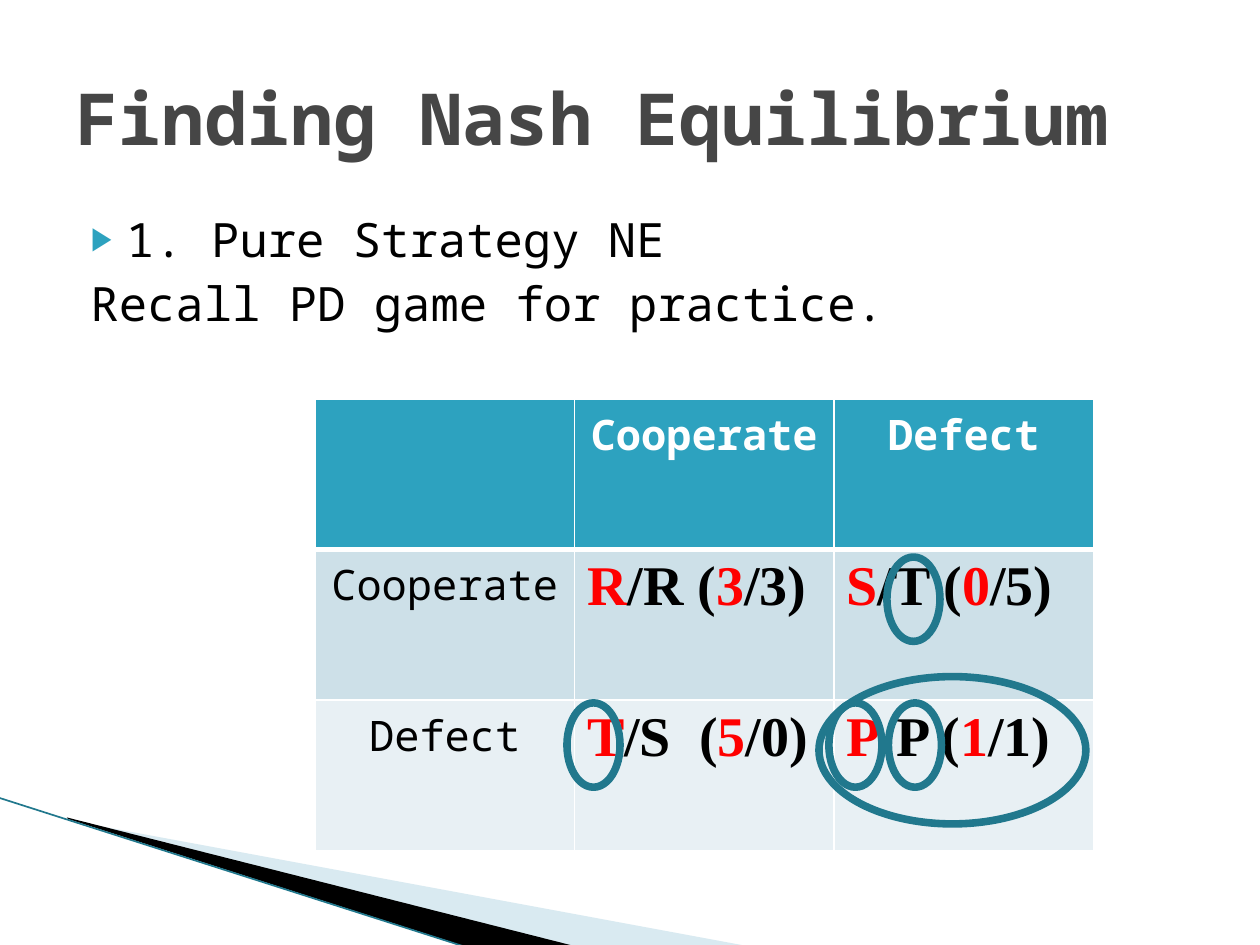
from lxml import etree
from pptx import Presentation
from pptx import util as u
from pptx.dml.color import RGBColor
from pptx.enum import shapes, text
from pptx.oxml import parse_xml
from pptx.oxml.ns import nsdecls, qn

COLORS = {
    "black": "000000", "white": "FFFFFF", "red": "FF0000", "title": "464646",
    "accent": "2DA2BF", "ring": "21788D", "pale": "A0CBDC",
    "row_dark": "CDE0E8", "row_light": "E8F0F4",
}
MONO, SERIF = "Noto Sans Mono", "Times New Roman"

TITLE = "Finding Nash Equilibrium"
BULLET, REMARK = "1. Pure Strategy NE", "Recall PD game for practice."
# A tuple holds the pieces of a payoff, alternating red and black.
PAYOFFS = [
    ["", "Cooperate", "Defect"],
    ["Cooperate", ("R", "/R (", "3", "/3)"), ("S", "/T (", "0", "/5)")],
    ["Defect", ("T", "/S  (", "5", "/0)"), ("P", "/P (", "1", "/1)")],
]
ROW_FILLS = ["accent", "row_dark", "row_light"]

# All lengths in centimetres
TITLE_BOX = (1.27, 0.76, 22.86, 3.18)
BODY_BOX = (1.27, 4.11, 22.86, 3.07)
TABLE_LEFT, TABLE_TOP, COLUMN, ROW = 6.35, 8.05, 5.23, 3.03
BEST_REPLY = (1.07, 1.7)
RINGS = [
    (11.43, 14.17, *BEST_REPLY), (16.71, 14.17, *BEST_REPLY),
    (17.88, 11.23, *BEST_REPLY), (17.91, 14.17, *BEST_REPLY),
    (16.51, 13.64, 5.38, 2.97),
]
WEDGES = [
    ("pale", 40, [(1.4, 16.54), (15.11, 19.08), (11.58, 19.08), (1.4, 16.51)]),
    ("black", 100, [(1.35, 16.48), (11.61, 19.08), (9.45, 19.1), (1.37, 16.51)]),
]
EDGE = (-0.03, 16.08, 9.42, 19.1)


def cms(values):
    return [u.Cm(value) for value in values]


def rgb(name):
    return RGBColor.from_string(COLORS[name])


def paint(target, name):
    target.solid()
    target.fore_color.rgb = rgb(name)


def add_span(para, words, color, **formats):
    span = para.add_run()
    span.text = words
    span.font.color.rgb = rgb(color)
    for key, value in formats.items():
        setattr(span.font, key, value)


def place(holder, box):
    for key, value in zip(("left", "top", "width", "height"), cms(box)):
        setattr(holder, key, value)
    holder.text_frame.auto_size = text.MSO_AUTO_SIZE.NONE


def add_title(page):
    holder = page.shapes.title
    place(holder, TITLE_BOX)
    holder.text_frame.vertical_anchor = text.MSO_ANCHOR.MIDDLE
    para = holder.text_frame.paragraphs[0]
    para.alignment = text.PP_ALIGN.LEFT
    add_span(para, TITLE, "title", name=MONO, size=u.Pt(41), bold=True)


def add_body(page):
    holder = page.placeholders[1]
    place(holder, BODY_BOX)
    frame = holder.text_frame
    marker = [
        f'<a:buClr {nsdecls("a")}><a:srgbClr val="{COLORS["accent"]}"/></a:buClr>',
        f'<a:buSzPct {nsdecls("a")} val="68000"/>',
        f'<a:buChar {nsdecls("a")} char="▶"/>',
    ]
    plain = [f'<a:buNone {nsdecls("a")}/>']
    lines = [(BULLET, 1.02, -0.71, marker), (REMARK, 0.3, 0, plain)]
    for number, (words, margin, indent, bullet) in enumerate(lines):
        para = frame.add_paragraph() if number else frame.paragraphs[0]
        para.space_before = u.Pt(4)
        add_span(para, words, "black", name=MONO, size=u.Pt(27))
        props = para._p.get_or_add_pPr()
        props.set("marL", str(u.Cm(margin)))
        props.set("indent", str(u.Cm(indent)))
        for xml in bullet:
            props.append(parse_xml(xml))


def add_corner(page):
    for color, opacity, points in WEDGES:
        start, *rest = [cms(point) for point in points]
        builder = page.shapes.build_freeform(*start)
        builder.add_line_segments(rest, close=True)
        wedge = builder.convert_to_shape()
        wedge.shadow.inherit = False
        wedge.line.fill.background()
        paint(wedge.fill, color)
        if opacity < 100:
            tint = wedge.fill._xPr.find(".//" + qn("a:srgbClr"))
            etree.SubElement(tint, qn("a:alpha")).set("val", str(opacity * 1000))
    edge = page.shapes.add_connector(shapes.MSO_CONNECTOR.STRAIGHT, *cms(EDGE))
    edge.line.width = u.Pt(0.95)
    paint(edge.line.fill, "ring")
    etree.SubElement(edge._element.spPr, qn("a:effectLst"))


def add_borders(cell, **widths):
    """Draw white borders; must run before the cell gets its fill."""
    props = cell._tc.get_or_add_tcPr()
    for side in "LRTB":
        props.append(parse_xml(
            f'<a:ln{side} {nsdecls("a")} w="{u.Pt(widths.get(side, 1))}"><a:solidFill>'
            f'<a:srgbClr val="{COLORS["white"]}"/></a:solidFill></a:ln{side}>'))


def add_payoffs(page):
    count = len(PAYOFFS)
    box = cms((TABLE_LEFT, TABLE_TOP, COLUMN * count, ROW * count))
    table = page.shapes.add_table(count, count, *box).table
    thick = [{"B": 3}, {"T": 3}, {}]
    for r, row in enumerate(PAYOFFS):
        for c, content in enumerate(row):
            cell = table.cell(r, c)
            add_borders(cell, **thick[r])
            paint(cell.fill, ROW_FILLS[r])
            para = cell.text_frame.paragraphs[0]
            if isinstance(content, tuple):
                for i, piece in enumerate(content):
                    add_span(para, piece, ("red", "black")[i % 2],
                             name=SERIF, size=u.Pt(32), bold=True)
            elif content:
                para.alignment = text.PP_ALIGN.CENTER
                add_span(para, content, "black" if r else "white",
                         name=MONO, size=u.Pt(24), bold=r == 0)


def add_rings(page):
    for box in RINGS:
        ring = page.shapes.add_shape(shapes.MSO_SHAPE.OVAL, *cms(box))
        ring.shadow.inherit = False
        ring.fill.background()
        ring.line.width = u.Pt(4.33)
        paint(ring.line.fill, "ring")


def main():
    deck = Presentation()
    deck.slide_width, deck.slide_height = cms((25.4, 19.05))
    page = deck.slides.add_slide(deck.slide_layouts[1])
    for add_part in (add_corner, add_body, add_title, add_payoffs, add_rings):
        add_part(page)
    deck.save("out.pptx")


if __name__ == "__main__":
    main()
